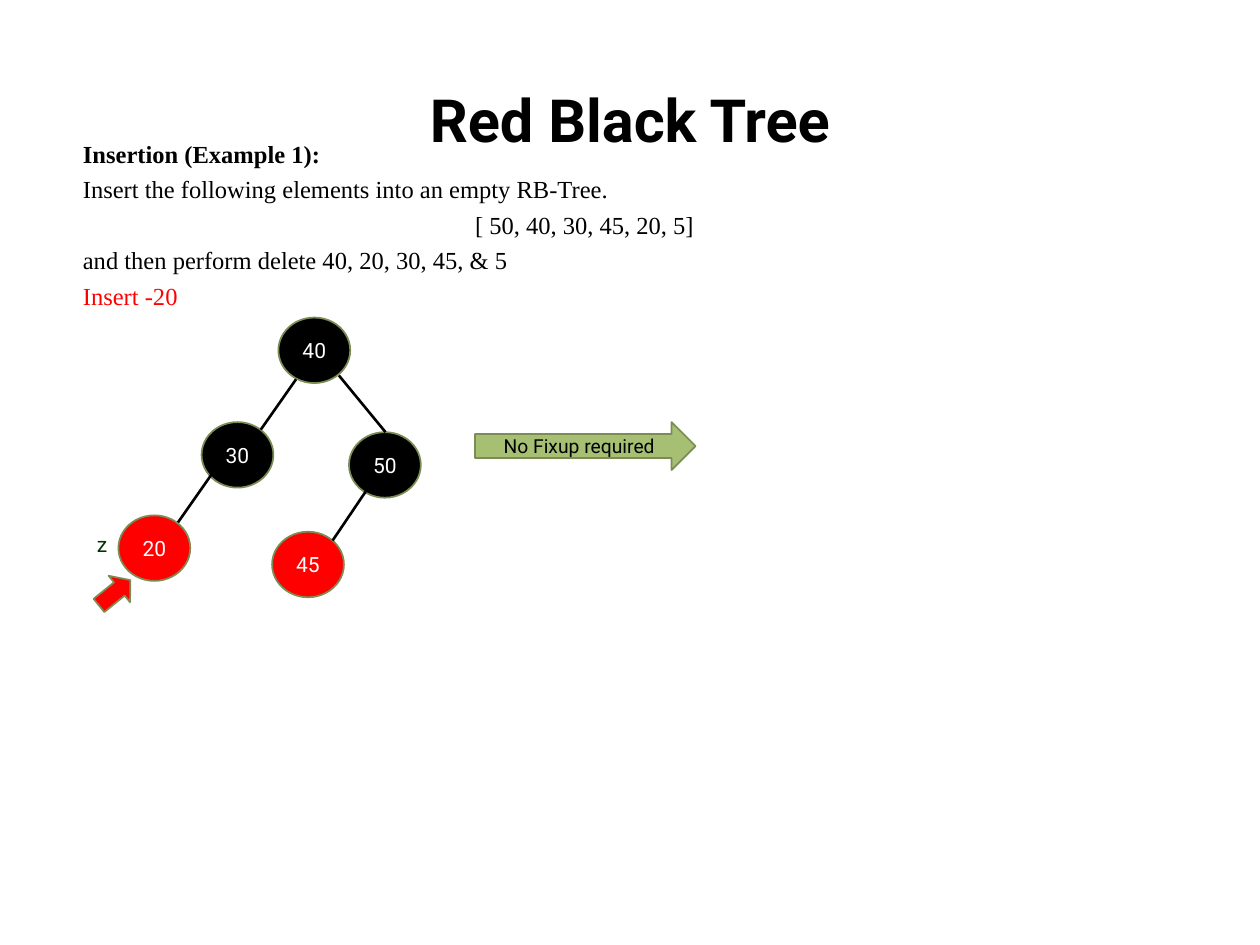
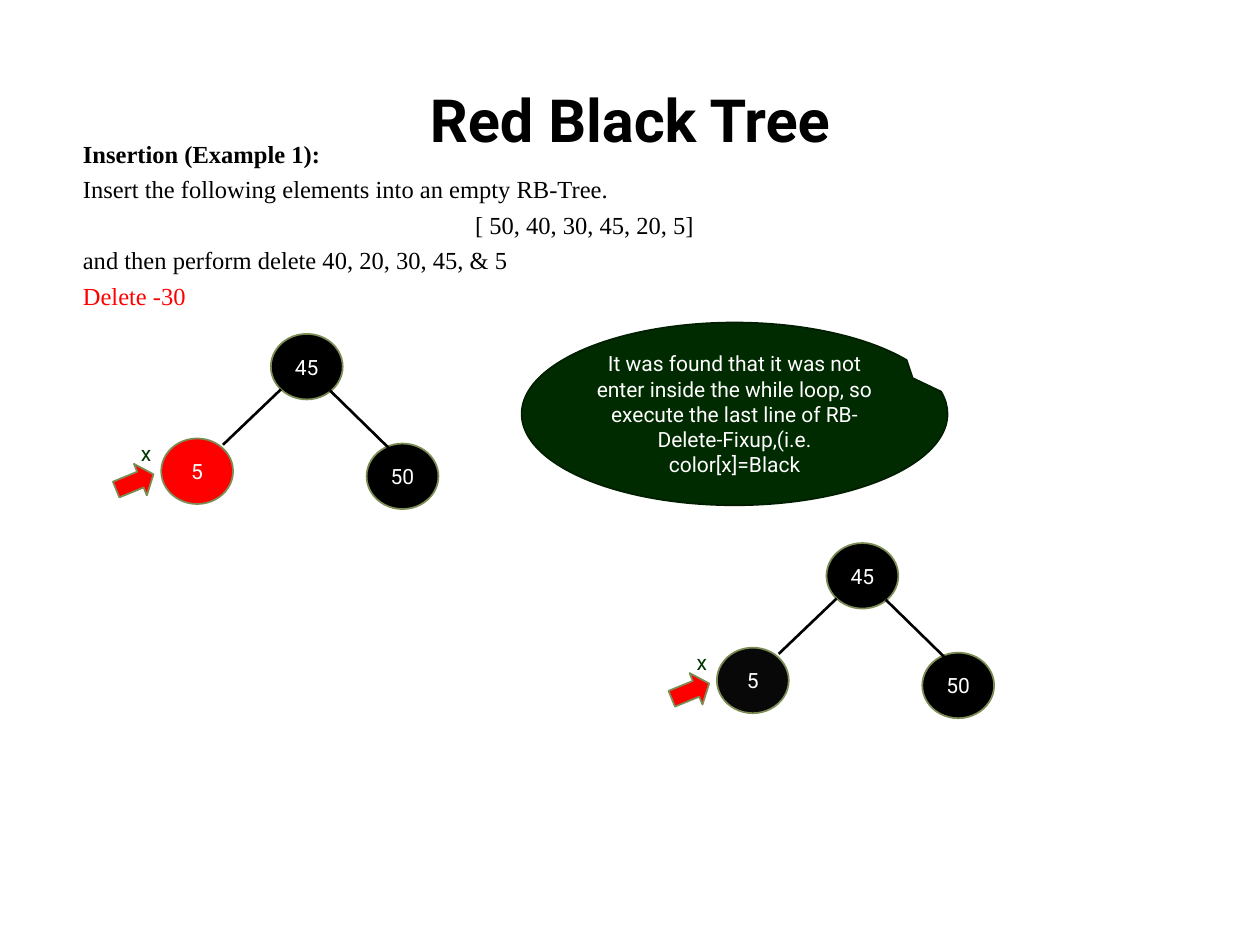
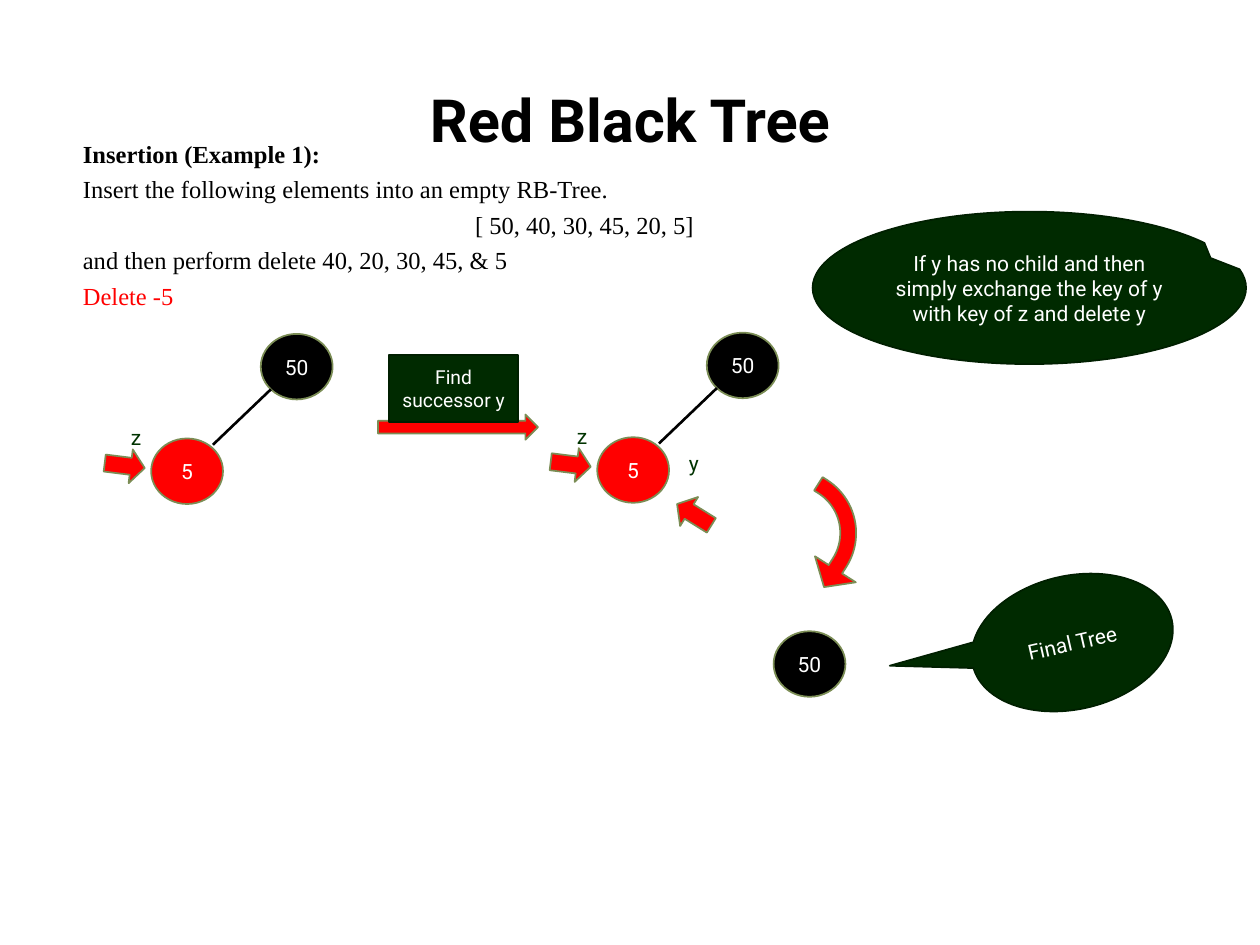
from dataclasses import dataclass

from lxml import etree
from pptx import Presentation
from pptx import util as u
from pptx.dml.color import RGBColor
from pptx.enum import shapes, text
from pptx.oxml.ns import qn

PX = u.Inches(1) // 100  # 100 px to the inch
SHAPE = shapes.MSO_SHAPE
ALIGN = text.PP_ALIGN


@dataclass(frozen=True)
class Theme:
    sans: str = "Roboto"
    serif: str = "Times New Roman"
    title_size: int = 34
    body_size: int = 14
    node_size: int = 12
    small_size: int = 11
    black: str = "000000"
    soft_black: str = "080808"
    white: str = "FFFFFF"
    red: str = "FF0000"
    olive: str = "7B8D55"
    light_green: str = "A6BF73"
    label_green: str = "003300"
    dark_green: str = "002A00"
    darkest_green: str = "001F00"


THEME = Theme()


class Deck:
    def __init__(self, theme):
        self.theme = theme
        self.presentation = Presentation()
        self.presentation.slide_width = 1000 * PX
        self.presentation.slide_height = 750 * PX
        self.slide = None

    def add_run(self, paragraph, words, size, color, font=None, bold=False):
        run = paragraph.add_run()
        run.text = words
        run.font.name = font or self.theme.sans
        run.font.size = u.Pt(size)
        run.font.bold = bold
        run.font.color.rgb = RGBColor.from_string(color)

    def start_slide(self, step):
        """Add a slide with the shared title and task, ending in the current step."""
        theme = self.theme
        self.slide = self.presentation.slides.add_slide(self.presentation.slide_layouts[5])
        title = self.slide.shapes.title
        title.left, title.top, title.width, title.height = (v * PX for v in (50, 55, 900, 79))
        frame = title.text_frame
        frame.auto_size = text.MSO_AUTO_SIZE.NONE
        frame.vertical_anchor = text.MSO_ANCHOR.MIDDLE
        frame.paragraphs[0].alignment = ALIGN.CENTER
        self.add_run(frame.paragraphs[0], "Red Black Tree", theme.title_size, theme.black, bold=True)

        frame = self.text_box(56, 105, 816, 121)
        lines = [
            ("Insertion (Example 1):", ALIGN.JUSTIFY, theme.black),
            ("Insert the following elements into an empty RB-Tree.", ALIGN.JUSTIFY, theme.black),
            ("[ 50, 40, 30, 45, 20, 5]", ALIGN.CENTER, theme.black),
            ("and then perform delete 40, 20, 30, 45, & 5", ALIGN.LEFT, theme.black),
            (step, ALIGN.LEFT, theme.red),
        ]
        for index, (words, alignment, color) in enumerate(lines):
            paragraph = frame.add_paragraph() if index else frame.paragraphs[0]
            paragraph.alignment = alignment
            if index:
                paragraph.space_before = u.Pt(3.5)
            self.add_run(paragraph, words, theme.body_size, color, theme.serif, bold=index == 0)

    def text_box(self, x, y, width, height):
        box = self.slide.shapes.add_textbox(x * PX, y * PX, width * PX, height * PX)
        box.text_frame.word_wrap = True
        return box.text_frame

    def shape(self, kind, box, fill, line, words="", size=None, color=None,
              rotation=0, adjustments=()):
        shape = self.slide.shapes.add_shape(kind, *(v * PX for v in box))
        shape.shadow.inherit = False
        shape.rotation = rotation
        for index, value in enumerate(adjustments):
            shape.adjustments[index] = value
        shape.fill.solid()
        shape.fill.fore_color.rgb = RGBColor.from_string(fill)
        shape.line.color.rgb = RGBColor.from_string(line)
        shape.line.width = u.Pt(1)
        if words:
            shape.text_frame.word_wrap = True
            paragraph = shape.text_frame.paragraphs[0]
            paragraph.alignment = ALIGN.CENTER
            self.add_run(paragraph, words, size or self.theme.node_size,
                         color or self.theme.white)

    def node(self, key, x, y, fill=THEME.black):
        self.shape(SHAPE.OVAL, (x, y, 57, 52), fill, self.theme.olive, key)

    def edge(self, x1, y1, x2, y2):
        connector = self.slide.shapes.add_connector(
            shapes.MSO_CONNECTOR.STRAIGHT, x1 * PX, y1 * PX, x2 * PX, y2 * PX)
        connector.line.color.rgb = RGBColor.from_string(self.theme.black)
        connector.line.width = u.Pt(1.5)
        etree.SubElement(connector._element.spPr, qn("a:effectLst"))

    def arrow(self, kind, box, rotation=0, adjustments=()):
        self.shape(kind, box, self.theme.red, self.theme.olive,
                   rotation=rotation, adjustments=adjustments)

    def pointer(self, name, x, y, rotation, label_dx=11, label_dy=-24):
        """Point a small red arrow at a node and name it beside the arrow."""
        self.arrow(SHAPE.RIGHT_ARROW, (x, y, 32, 27), rotation, (0.5, 0.415))
        frame = self.text_box(x + label_dx, y + label_dy, 27, 30)
        frame.auto_size = text.MSO_AUTO_SIZE.SHAPE_TO_FIT_TEXT
        self.add_run(frame.paragraphs[0], name, self.theme.node_size, self.theme.label_green)

    def callout(self, words, box, tail, rotation=0):
        self.shape(SHAPE.OVAL_CALLOUT, box, self.theme.dark_green, self.theme.darkest_green,
                   words, rotation=rotation, adjustments=tail)

    def left_tree(self, root, x, y, fill, name, pointer_dy, rotation):
        """Draw a root at (x, y) with left child 5 and a pointer to that child."""
        self.node(root, x, y)
        self.node("5", x - 87, y + 83, fill)
        self.edge(x + 8, y + 44, x - 38, y + 88)
        self.pointer(name, x - 124, y + pointer_dy, rotation)


def insert_20(deck):
    theme = deck.theme
    deck.start_slide("Insert -20")
    for key, x, y, fill in [("40", 221, 252, theme.black), ("50", 277, 343, theme.black),
                            ("30", 160, 335, theme.black), ("45", 216, 422, theme.red)]:
        deck.node(key, x, y, fill)
    for ends in [(269, 298, 306, 343), (235, 301, 207, 341),
                 (291, 389, 264, 429), (169, 375, 141, 415)]:
        deck.edge(*ends)
    deck.pointer("z", 75, 457, 321, label_dx=-8, label_dy=-40)
    deck.node("20", 94, 409, theme.red)
    deck.shape(SHAPE.RIGHT_ARROW, (377, 335, 175, 38), theme.light_green, theme.olive,
               "No Fixup required", theme.small_size, theme.black)


def delete_30(deck):
    theme = deck.theme
    deck.start_slide("Delete -30")
    for x, y, fill in [(215, 265, theme.red), (656, 431, theme.soft_black)]:
        deck.left_tree("45", x, y, fill, "x", 104, 337.7)
        deck.node("50", x + 76, y + 87)
        deck.edge(x + 47, y + 45, x + 94, y + 91)
    deck.callout("It was found that it was not enter inside the while loop, so execute "
                 "the last line of RB-Delete-Fixup,(i.e. color[x]=Black",
                 (414, 256, 338, 145), (0.418, -0.196))


def delete_5(deck):
    theme = deck.theme
    deck.start_slide("Delete -5")
    for x, y in [(207, 265), (561, 264)]:
        deck.left_tree("50", x, y, theme.red, "z", 91, 7.1)
    deck.pointer("y", 535, 395, 211.8, label_dx=2, label_dy=-42)
    deck.arrow(SHAPE.RIGHT_ARROW, (300, 329, 127, 20))
    deck.shape(SHAPE.RECTANGLE, (309, 282, 102, 53), theme.dark_green, theme.darkest_green,
               "Find successor y", theme.small_size)
    deck.callout("If y has no child and then simply exchange the key of y "
                 "with key of z and delete y", (645, 168, 344, 121), (0.418, -0.196))
    deck.arrow(SHAPE.BENT_ARROW, (625, 394, 73, 67), 122.5, (0.188, 0.287, 0.25, 0.747))
    deck.node("50", 614, 501)
    deck.callout("Final Tree", (770, 457, 162, 106), (-0.897, -0.133), rotation=347.2)


def main():
    deck = Deck(THEME)
    for build_slide in (insert_20, delete_30, delete_5):
        build_slide(deck)
    deck.presentation.save("out.pptx")


if __name__ == "__main__":
    main()
